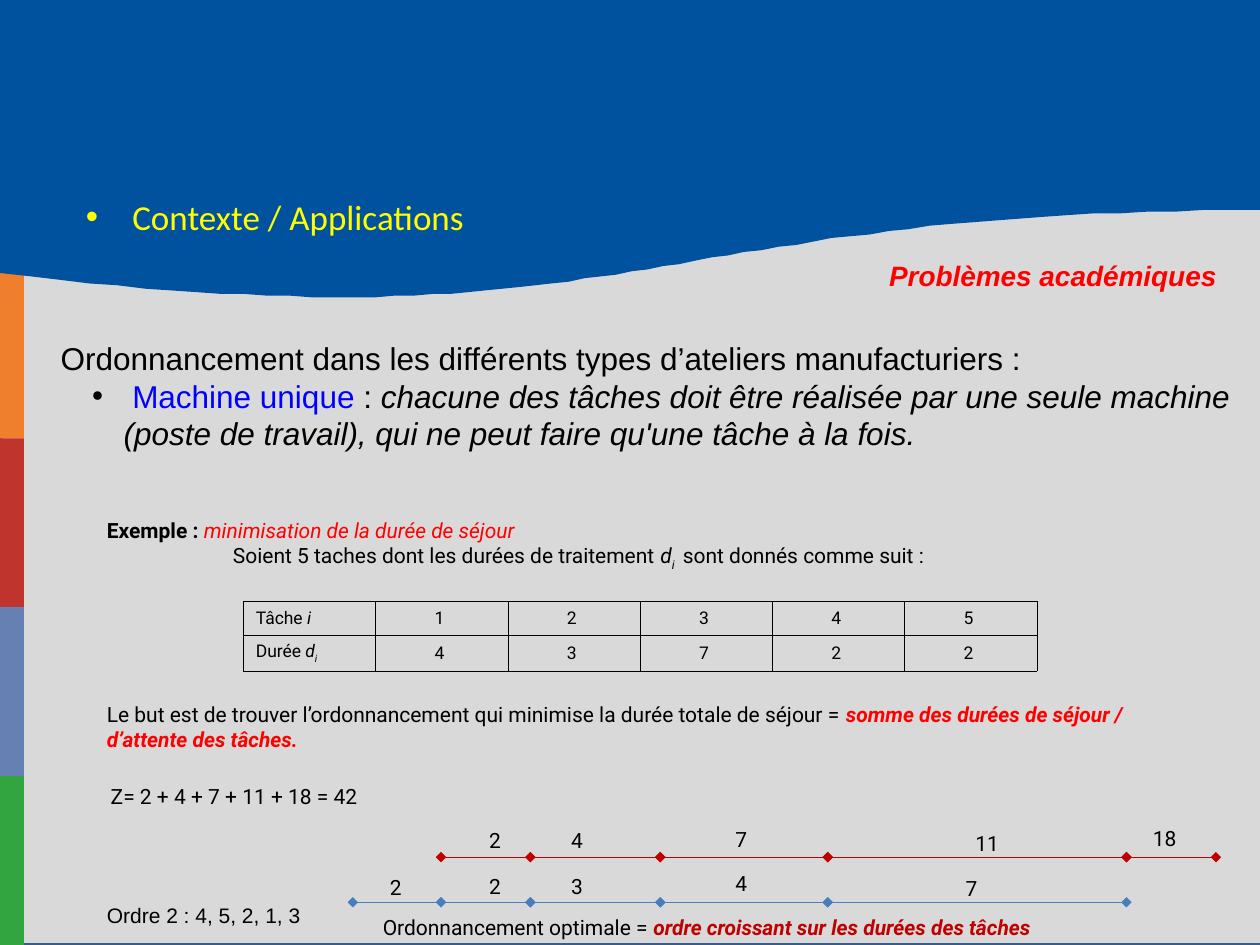
from pptx import Presentation
from pptx.dml.color import RGBColor
from pptx.enum.shapes import MSO_CONNECTOR, MSO_SHAPE
from pptx.enum.text import MSO_ANCHOR, MSO_AUTO_SIZE, PP_ALIGN
from pptx.oxml.ns import qn
from pptx.util import Pt
from lxml import etree

LEFT, CENTER = PP_ALIGN.LEFT, PP_ALIGN.CENTER
TOP, MIDDLE = MSO_ANCHOR.TOP, MSO_ANCHOR.MIDDLE

BLACK = RGBColor(0x00, 0x00, 0x00)
GREY = RGBColor(0xD9, 0xD9, 0xD9)
FRAME = RGBColor(0x38, 0x5D, 0x8A)
NAVY = RGBColor(0x00, 0x52, 0x9E)
ORANGE = RGBColor(0xEF, 0x7E, 0x2D)
BRICK = RGBColor(0xBF, 0x35, 0x2D)
LAVENDER = RGBColor(0x67, 0x80, 0xB4)
GREEN = RGBColor(0x32, 0xA4, 0x40)
YELLOW = RGBColor(0xFF, 0xFF, 0x00)
RED = RGBColor(0xFF, 0x00, 0x00)
BLUE = RGBColor(0x00, 0x00, 0xFF)
DARK_RED = RGBColor(0xC0, 0x00, 0x00)
STEEL = RGBColor(0x4A, 0x7E, 0xBB)

# Runs are (text, colour, flags): b bold, i italic, s subscript.
TITLE = [("Contexte / Applications", YELLOW, "")]
BODY = [
    [("Ordonnancement dans les différents types d’ateliers manufacturiers :", BLACK, "")],
    [(" ", BLACK, ""), ("Machine unique ", BLUE, ""), (": ", BLACK, ""),
     ("chacune des tâches doit être réalisée par une seule machine", BLACK, "i")],
    [("(poste de travail), qui ne peut faire qu'une tâche à la fois.", BLACK, "i")],
]
BODY_INDENTS = [(0, 0, None), (36, -18, "•"), (36, 0, None)]
SUBTITLE = [("Problèmes académiques", RED, "bi")]

# Example paragraphs: left indent, space before, font, runs
EXAMPLE = [
    (0, 0, "Roboto", [("Exemple : ", BLACK, "b"),
                      ("minimisation de la durée de séjour", RED, "i")]),
    (72, 0, "Roboto", [("Soient 5 taches dont les durées de traitement ", BLACK, ""),
                       ("d", BLACK, "i"), ("i ", BLACK, "is"),
                       (" sont donnés comme suit :", BLACK, "")]),
    (0, 74, "Roboto", [("Le but est de trouver l’ordonnancement qui minimise la durée "
                        "totale de séjour = ", BLACK, ""),
                       ("somme des durées de séjour / d’attente des tâches.", RED, "bi")]),
    (0, 86.5, "Arial", [("Ordre 2 : 4, 5, 2, 1, 3", BLACK, "")]),
]
TABLE = [
    ([("Tâche ", BLACK, ""), ("i", BLACK, "i")], [1, 2, 3, 4, 5]),
    ([("Durée", BLACK, ""), (" d", BLACK, "i"), ("i", BLACK, "is")], [4, 3, 7, 2, 2]),
]
ROW_HEIGHTS = [19.5, 20.5]
COLUMN_WIDTH = 75.6

OBJECTIVE = [("Z= 2 + 4 + 7 + 11 + 18 = 42", BLACK, "")]
CONCLUSION = [("Ordonnancement optimale = ", BLACK, ""),
              ("ordre croissant sur les durées des tâches", DARK_RED, "bi")]

# Timelines: colour, height, time marks, labels as (text, left, top, width)
MARKS = [201.6, 252, 303.1, 377.3, 473, 643.7, 694.8]
TIMELINES = [
    (STEEL, 515.6, MARKS[:-1],
     [(2, 214.6, 496, 26), (2, 271.4, 495.4, 26), (3, 318.2, 495.4, 26),
      (4, 411.8, 494, 26.6), (7, 543.6, 497, 26)]),
    (DARK_RED, 489.8, MARKS[1:],
     [(2, 271.4, 469.5, 26), (4, 318.2, 469.5, 26), (7, 411.8, 468.7, 26.6),
      (11, 543.6, 471, 44), (18, 645, 468, 44)]),
]

BAND_COLOURS = [ORANGE, BRICK, LAVENDER, GREEN]
BAND_TOP, BAND_WIDTH, BAND_HEIGHT = 154, 13.7, 96.5
CURVE = [(722, 120), (362, 120), (360, 202), (0, 155.5)]
CURVE_STEPS = 60


def add_runs(para, runs, size, font):
    for text, colour, flags in runs:
        span = para.add_run()
        span.text = text
        span.font.size = Pt(size)
        span.font.name = font
        span.font.color.rgb = colour
        span.font.bold = "b" in flags
        span.font.italic = "i" in flags
        if "s" in flags:
            span.font._element.set("baseline", "-25000")


def set_indent(para, left, first, bullet=None, colour=BLACK):
    props = para._p.get_or_add_pPr()
    props.set("marL", str(Pt(left)))
    props.set("indent", str(Pt(first)))
    if bullet is None:
        etree.SubElement(props, qn("a:buNone"))
        return
    bullet_colour = etree.SubElement(props, qn("a:buClr"))
    etree.SubElement(bullet_colour, qn("a:srgbClr")).set("val", str(colour))
    etree.SubElement(props, qn("a:buFont")).set("typeface", "Arial")
    etree.SubElement(props, qn("a:buChar")).set("char", bullet)


def place(box, left, top, width, height):
    box.left, box.top, box.width, box.height = Pt(left), Pt(top), Pt(width), Pt(height)
    frame = box.text_frame
    frame.auto_size = MSO_AUTO_SIZE.NONE
    frame.vertical_anchor = TOP
    frame.word_wrap = True
    return frame


def add_text(page, left, top, width, height, runs, size=12, font="Roboto", align=LEFT):
    box = page.shapes.add_textbox(0, 0, 0, 0)
    para = place(box, left, top, width, height).paragraphs[0]
    para.alignment = align
    add_runs(para, runs, size, font)


def next_paragraph(frame, index):
    return frame.add_paragraph() if index else frame.paragraphs[0]


def paint(shape, colour):
    shape.shadow.inherit = False
    shape.fill.solid()
    shape.fill.fore_color.rgb = colour
    shape.line.fill.background()


def add_rectangle(page, left, top, width, height, colour):
    shape = page.shapes.add_shape(MSO_SHAPE.RECTANGLE, Pt(left), Pt(top), Pt(width), Pt(height))
    paint(shape, colour)
    return shape


def bezier(points, t):
    weights = [(1 - t) ** 3, 3 * t * (1 - t) ** 2, 3 * t * t * (1 - t), t ** 3]
    return tuple(sum(w * p[axis] for w, p in zip(weights, points)) for axis in (0, 1))


def add_backdrop(page):
    back = add_rectangle(page, 0, 0, 722, 540, GREY)
    back.line.color.rgb = FRAME
    back.line.width = Pt(2)
    for index, colour in enumerate(BAND_COLOURS):
        add_rectangle(page, 0, BAND_TOP + index * BAND_HEIGHT, BAND_WIDTH, BAND_HEIGHT, colour)
    wave = page.shapes.build_freeform(0.5, 0, scale=Pt(1))
    edge = [bezier(CURVE, step / CURVE_STEPS) for step in range(CURVE_STEPS + 1)]
    wave.add_line_segments([(722, 0)] + edge, close=True)
    paint(wave.convert_to_shape(), NAVY)


def add_border(cell):
    props = cell._tc.get_or_add_tcPr()
    for index, side in enumerate(("a:lnL", "a:lnR", "a:lnT", "a:lnB")):
        line = etree.Element(qn(side), w=str(Pt(0.11)))
        fill = etree.SubElement(line, qn("a:solidFill"))
        etree.SubElement(fill, qn("a:srgbClr")).set("val", str(BLACK))
        props.insert(index, line)


def add_task_table(page):
    columns = 1 + len(TABLE[0][1])
    table = page.shapes.add_table(len(TABLE), columns, Pt(139), Pt(343.5),
                                  Pt(columns * COLUMN_WIDTH), Pt(sum(ROW_HEIGHTS))).table
    table.first_row = table.horz_banding = False
    for column in table.columns:
        column.width = Pt(COLUMN_WIDTH)
    for r, (heading, values) in enumerate(TABLE):
        table.rows[r].height = Pt(ROW_HEIGHTS[r])
        contents = [heading] + [[(f"{value} ", BLACK, "")] for value in values]
        for c, runs in enumerate(contents):
            cell = table.cell(r, c)
            cell.vertical_anchor = MIDDLE
            cell.fill.background()
            add_border(cell)
            para = cell.text_frame.paragraphs[0]
            para.alignment = CENTER if c else LEFT
            para.line_spacing = 1.01
            add_runs(para, runs, 10, "Roboto")


def add_timeline(page, colour, y, marks, labels):
    for start, end in zip(marks, marks[1:]):
        segment = page.shapes.add_connector(MSO_CONNECTOR.STRAIGHT,
                                            Pt(start), Pt(y), Pt(end), Pt(y))
        segment.line.color.rgb = colour
        segment.line.width = Pt(0.75)
        for tip in ("a:headEnd", "a:tailEnd"):
            etree.SubElement(segment.line._get_or_add_ln(), qn(tip)).set("type", "diamond")
        etree.SubElement(segment._element.spPr, qn("a:effectLst"))
    for value, left, top, width in labels:
        add_text(page, left, top, width, 21.6, [(f"{value} ", BLACK, "")], align=CENTER)


def main():
    deck = Presentation()
    deck.slide_width, deck.slide_height = Pt(720), Pt(540)
    page = deck.slides.add_slide(deck.slide_layouts[1])
    title, body = page.shapes.title, page.placeholders[1]
    add_backdrop(page)
    for box in (title, body):  # bring the placeholders in front of the backdrop
        box.element.getparent().append(box.element)

    para = place(title, 41.8, 108, 635.8, 59.8).paragraphs[0]
    para.alignment = LEFT
    para.space_before = Pt(4)
    set_indent(para, 26.6, -26.6, "•", YELLOW)
    add_runs(para, TITLE, 20, "Calibri")

    frame = place(body, 27.4, 190, 694, 157)
    for index, (runs, indent) in enumerate(zip(BODY, BODY_INDENTS)):
        para = next_paragraph(frame, index)
        para.level = 1 if index else 0
        para.space_before = Pt(0)
        set_indent(para, *indent)
        add_runs(para, runs, 18, "Arial")

    add_text(page, 501, 144, 201.6, 26.6, SUBTITLE, 16, "Arial")

    frame = place(page.shapes.add_textbox(0, 0, 0, 0), 54, 292.3, 635, 245)
    for index, (left, gap, font, runs) in enumerate(EXAMPLE):
        para = next_paragraph(frame, index)
        para.space_before = Pt(gap)
        set_indent(para, left, 0)
        add_runs(para, runs, 12, font)

    add_task_table(page)
    for timeline in TIMELINES:
        add_timeline(page, *timeline)
    add_text(page, 56.2, 444.2, 363, 21.6, OBJECTIVE)
    add_text(page, 211.7, 519, 477.4, 21, CONCLUSION)
    deck.save("out.pptx")


if __name__ == "__main__":
    main()
